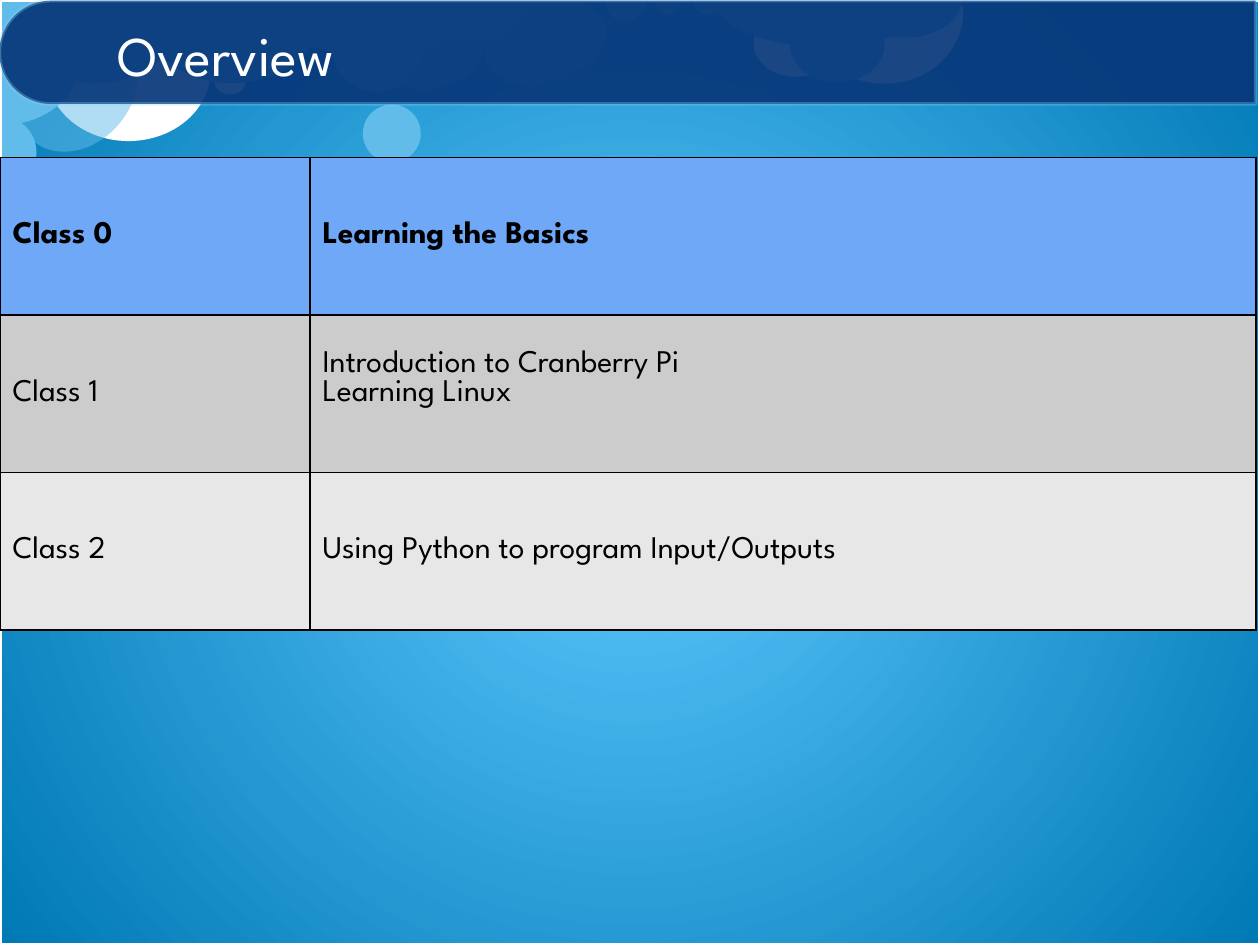
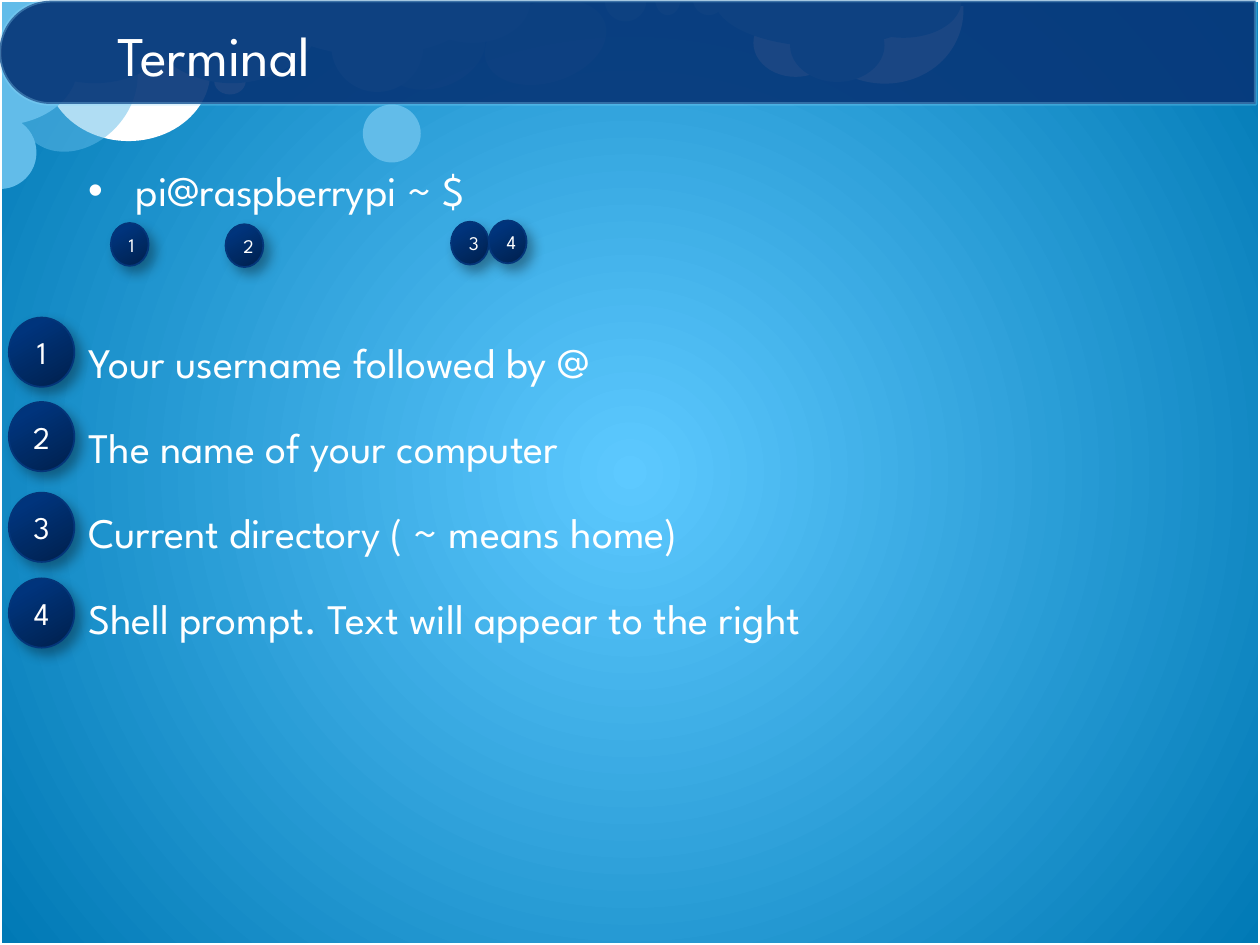
from dataclasses import dataclass

from pptx import Presentation
from pptx.dml.color import RGBColor
from pptx.enum import shapes, text
from pptx.oxml import parse_xml
from pptx.oxml.ns import nsdecls, qn
from pptx.util import Inches, Pt

# Content
COURSE_TITLE = "Overview"
COURSE_ROWS = [
    ("Class 0", "Learning the Basics"),
    ("Class 1", "Introduction to Cranberry Pi\nLearning Linux"),
    ("Class 2", "Using Python to program Input/Outputs"),
]
COLUMN_WIDTHS, ROW_HEIGHT = (2.46, 7.51), 1.25

TERMINAL_TITLE = "Terminal"
PROMPT = "pi@raspberrypi ~ $"
PROMPT_PARTS = [
    "Your username followed by @",
    "The name of your computer",
    "Current directory ( ~ means home)",
    "Shell prompt. Text will appear to the right",
]
PROMPT_BADGES = [(0.88, 1.77), (1.79, 1.78), (3.58, 1.76), (3.88, 1.75)]
LIST_BADGES = [(0.07, top) for top in (2.52, 3.19, 3.91, 4.59)]


@dataclass(frozen=True)
class Theme:
    font: str = "League Spartan"
    white: str = "FFFFFF"
    black: str = "000000"
    sky: str = "62BCE9"
    pale: str = "8FD9FB"
    band: str = "073779"
    glow: str = "5DC9FF"
    deep: str = "0079B5"
    badge_dark: str = "00204C"
    badge_light: str = "00347C"
    badge_line: str = "043579"
    rows: tuple = ("6FA8F7", "CCCCCC", "E7E7E7")
    title_size: int = 32
    body_size: int = 24
    label_size: int = 18
    small_size: int = 11


THEME = Theme()
SHAPE = shapes.MSO_SHAPE
OVAL, PIE, ARC = SHAPE.OVAL, SHAPE.PIE, SHAPE.ARC
HALF = (0, 108)  # pie angles of a half disc

# Clouds, back to front: kind, place, colour, opacity, rotation, adjustments
CLOUDS = [
    (OVAL, (3.11, -0.05, 0.64, 0.86), THEME.white, 20, 72.8, ()),
    (OVAL, (0.37, 0.01, 1.3, 1.11), THEME.white, 100, 0, ()),
    (ARC, (6.39, -0.6, 1.21, 1.31), THEME.white, 100, 106.5, (151.8, 44.48)),
    (OVAL, (5.98, 0.07, 0.67, 0.54), THEME.white, 100, 0, ()),
    (PIE, (-0.01, -0.66, 1.52, 1.32), THEME.sky, 100, 0, HALF),
    (PIE, (2.08, -0.44, 1.75, 0.88), THEME.sky, 100, 0, HALF),
    (OVAL, (2.88, 0.83, 0.46, 0.46), THEME.sky, 100, 0, ()),
    (OVAL, (0.19, 0.18, 0.85, 1.07), THEME.sky, 50, 41.8, ()),
    (PIE, (-0.29, 0.92, 0.58, 0.58), THEME.sky, 100, 270, HALF),
    (OVAL, (1.7, 0.54, 0.25, 0.21), THEME.white, 100, 0, ()),
    (PIE, (1.08, -0.66, 1.52, 1.32), THEME.sky, 100, 0, HALF),
    (PIE, (5.67, -0.38, 1.75, 0.75), THEME.sky, 100, 0, HALF),
    (OVAL, (6.27, 0.07, 0.75, 0.58), THEME.sky, 100, 0, ()),
    (PIE, (6.71, -0.28, 0.92, 0.58), THEME.sky, 100, 0, HALF),
    (OVAL, (4.01, -0.16, 0.64, 0.99), THEME.white, 20, 72.8, ()),
    (PIE, (4.8, -0.16, 0.33, 0.33), THEME.pale, 50, 0, HALF),
    (PIE, (5.2, -0.13, 0.2, 0.25), THEME.sky, 100, 0, HALF),
    (PIE, (5.5, -0.13, 0.25, 0.25), THEME.sky, 100, 0, HALF),
    (OVAL, (2.63, 0, 0.73, 0.73), THEME.sky, 100, 0, ()),
    (PIE, (3.29, -0.33, 0.92, 0.67), THEME.sky, 100, 0, HALF),
    (PIE, (-0.47, -0.09, 0.93, 1.24), THEME.sky, 100, 270, HALF),
]


# Helpers
def rgb(value):
    return RGBColor.from_string(value)


def style_text(frame, size, color, bold=False):
    for para in frame.paragraphs:
        for span in para.runs:
            span.font.name = THEME.font
            span.font.size = Pt(size)
            span.font.bold = bold
            span.font.color.rgb = rgb(color)


def set_opacity(shape, percent, route="a:solidFill/a:srgbClr"):
    for color in shape.element.spPr.xpath(route):
        color.append(parse_xml(f'<a:alpha {nsdecls("a")} val="{percent * 1000}"/>'))


def set_gradient(fill, *stops):
    fill.gradient()
    for stop, (position, color) in zip(fill.gradient_stops, stops):
        stop.position = position
        stop.color.rgb = rgb(color)


def add_plain_shape(page, kind, place, color=None, opacity=100, rotation=0, adjustments=()):
    shape = page.shapes.add_shape(kind, *map(Inches, place))
    shape.shadow.inherit = False
    shape.rotation = rotation
    for index, value in enumerate(adjustments):
        shape.adjustments[index] = value
    shape.line.fill.background()
    if color:
        shape.fill.solid()
        shape.fill.fore_color.rgb = rgb(color)
        if opacity < 100:
            set_opacity(shape, opacity)
    else:
        shape.fill.background()
    return shape


def set_line(shape, color, width):
    shape.line.color.rgb = rgb(color)
    shape.line.width = Pt(width)


# Shared backdrop, placed on the layout
def build_backdrop(layout, page):
    for holder in list(layout.placeholders):
        if holder.placeholder_format.type != shapes.PP_PLACEHOLDER.TITLE:
            holder.element.getparent().remove(holder.element)

    set_gradient(layout.background.fill, (0, THEME.glow), (1, THEME.deep))
    linear = layout.element.xpath(".//p:bgPr/a:gradFill/a:lin")[0]
    linear.getparent().replace(linear, parse_xml(
        f'<a:path {nsdecls("a")} path="circle">'
        '<a:fillToRect l="50000" t="50000" r="50000" b="50000"/></a:path>'))

    decor = [add_plain_shape(page, *cloud) for cloud in CLOUDS]
    frame = add_plain_shape(page, SHAPE.RECTANGLE, (0, 0, 10, 7.5))
    set_line(frame, THEME.white, 2)
    band = add_plain_shape(page, SHAPE.ROUND_2_SAME_RECTANGLE, (4.57, -4.57, 0.82, 9.97),
                           THEME.band, 92, 270, (0.5, 0))
    set_line(band, THEME.pale, 2)
    set_opacity(band, 30, "a:ln/a:solidFill/a:srgbClr")
    for shape in decor + [frame, band]:
        layout.shapes.element.append(shape.element)


def add_page(deck, layout, title):
    page = deck.slides.add_slide(layout)
    box = page.shapes.title
    box.left, box.top, box.width, box.height = map(Inches, (0.83, 0, 9.14, 0.62))
    frame = box.text_frame
    frame.text = title
    frame.auto_size = text.MSO_AUTO_SIZE.NONE
    frame.vertical_anchor = text.MSO_ANCHOR.MIDDLE
    frame.paragraphs[0].alignment = text.PP_ALIGN.LEFT
    frame.paragraphs[0].line_spacing = Pt(56)
    style_text(frame, THEME.title_size, THEME.white)
    return page


# Course table
def add_borders(cell):
    props = cell._tc.get_or_add_tcPr()
    for index, side in enumerate(("lnL", "lnR", "lnT", "lnB")):
        props.insert(index, parse_xml(
            f'<a:{side} {nsdecls("a")} w="{Pt(1)}"><a:solidFill>'
            f'<a:srgbClr val="{THEME.black}"/></a:solidFill></a:{side}>'))


def add_course_table(page):
    height = ROW_HEIGHT * len(COURSE_ROWS)
    table = page.shapes.add_table(
        len(COURSE_ROWS), len(COLUMN_WIDTHS), Inches(0), Inches(1.25),
        Inches(sum(COLUMN_WIDTHS)), Inches(height)).table
    for column, width in zip(table.columns, COLUMN_WIDTHS):
        column.width = Inches(width)
    for r, (labels, color) in enumerate(zip(COURSE_ROWS, THEME.rows)):
        table.rows[r].height = Inches(ROW_HEIGHT)
        for c, label in enumerate(labels):
            cell = table.cell(r, c)
            cell.text_frame.text = label
            cell.vertical_anchor = text.MSO_ANCHOR.MIDDLE
            if "\n" in label:
                cell.margin_bottom = Inches(0.28)
            cell.fill.solid()
            cell.fill.fore_color.rgb = rgb(color)
            style_text(cell.text_frame, THEME.label_size, THEME.black, bold=r == 0)
            add_borders(cell)


# Terminal prompt and its numbered parts
def add_prompt_text(page):
    box = page.shapes.add_textbox(*map(Inches, (0.6, 1.26, 9.38, 5.97)))
    frame = box.text_frame
    frame.word_wrap = True
    frame.text = "\n".join([PROMPT] + PROMPT_PARTS)
    for para in frame.paragraphs:
        para.space_after = Pt(20)
    first = frame.paragraphs[0]
    first.space_after = Pt(69)
    props = first._p.get_or_add_pPr()
    props.set("marL", str(Inches(0.38)))
    props.set("indent", str(Inches(-0.38)))
    props.append(parse_xml(f'<a:buFont {nsdecls("a")} typeface="Arial"/>'))
    props.append(parse_xml(f'<a:buChar {nsdecls("a")} char="•"/>'))
    style_text(frame, THEME.body_size, THEME.white)


def add_badges(page, places, width, height, size):
    for number, place in enumerate(places, 1):
        badge = add_plain_shape(page, OVAL, (*place, width, height))
        set_gradient(badge.fill, (0, THEME.badge_dark), (0.8, THEME.badge_light))
        badge.fill.gradient_angle = 120
        set_line(badge, THEME.badge_line, 1)
        badge.element.spPr.find(qn("a:effectLst")).append(parse_xml(
            f'<a:outerShdw {nsdecls("a")} blurRad="{Pt(7)}" dist="{Pt(5)}" dir="3000000">'
            f'<a:srgbClr val="{THEME.black}"><a:alpha val="35000"/></a:srgbClr></a:outerShdw>'))
        frame = badge.text_frame
        frame.vertical_anchor = text.MSO_ANCHOR.MIDDLE
        frame.text = str(number)
        frame.paragraphs[0].alignment = text.PP_ALIGN.CENTER
        style_text(frame, size, THEME.white)


def main():
    deck = Presentation()
    deck.slide_width, deck.slide_height = Inches(10), Inches(7.5)
    layout = deck.slide_layouts.get_by_name("Title Only")

    overview = add_page(deck, layout, COURSE_TITLE)
    build_backdrop(layout, overview)
    add_course_table(overview)

    terminal = add_page(deck, layout, TERMINAL_TITLE)
    add_prompt_text(terminal)
    add_badges(terminal, PROMPT_BADGES, 0.3, 0.34, THEME.small_size)
    add_badges(terminal, LIST_BADGES, 0.52, 0.55, THEME.label_size)

    deck.save("out.pptx")


if __name__ == "__main__":
    main()
